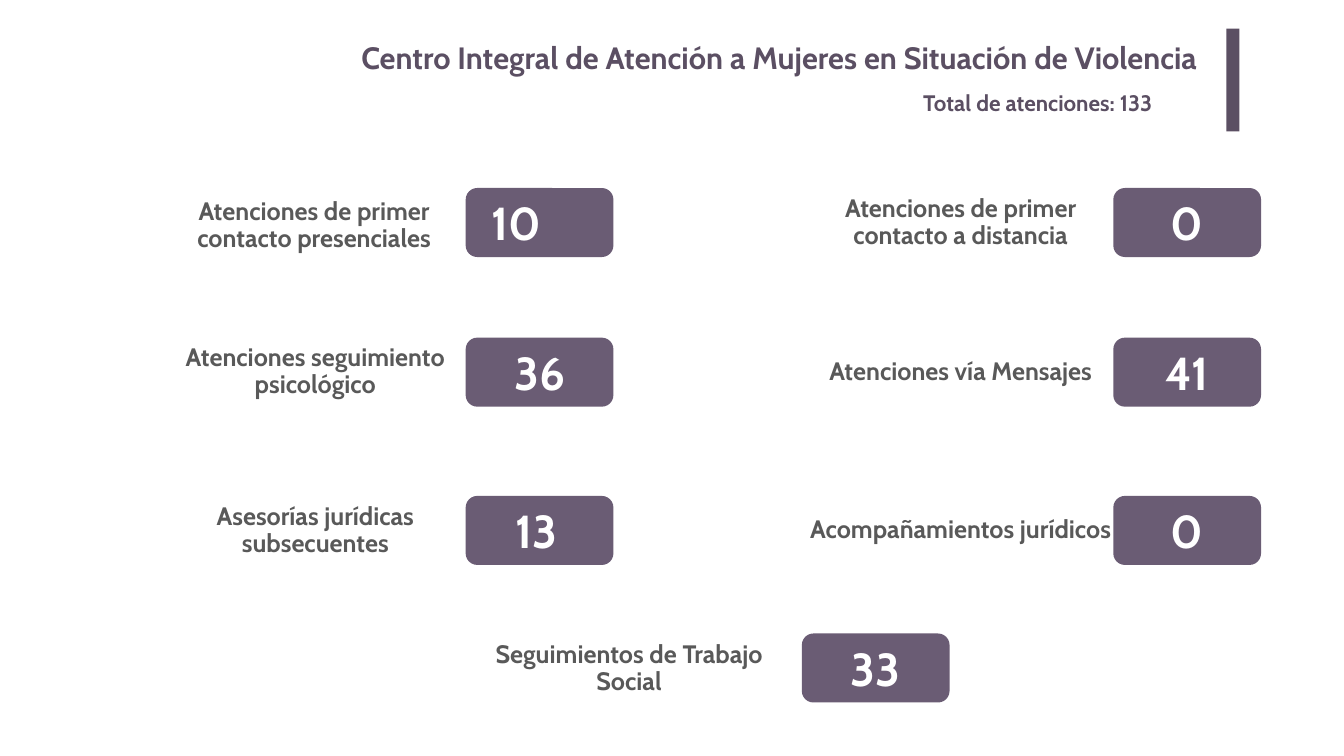
from pptx import Presentation
from pptx.dml.color import RGBColor
from pptx.enum.shapes import MSO_SHAPE
from pptx.enum.text import MSO_ANCHOR, MSO_AUTO_SIZE, PP_ALIGN
from pptx.util import Pt

RECTANGLE, ROUNDED = MSO_SHAPE.RECTANGLE, MSO_SHAPE.ROUNDED_RECTANGLE
TOP, MIDDLE = MSO_ANCHOR.TOP, MSO_ANCHOR.MIDDLE
LEFT, CENTER, RIGHT = PP_ALIGN.LEFT, PP_ALIGN.CENTER, PP_ALIGN.RIGHT
NO_AUTOFIT = MSO_AUTO_SIZE.NONE

COLORS = {"heading": "5B4F63", "badge": "6A5C74", "label": "595959", "number": "FFFFFF"}
TITLE_ONLY = 5
BADGE_WIDTH, BADGE_HEIGHT = 211, 98.6
NUMBER_WIDTH, NUMBER_HEIGHT = 147, 87
LEFT_COLUMN, MIDDLE_COLUMN, RIGHT_COLUMN = 665.3, 1145.5, 1590.5
ROWS = [268.6, 482.4, 708.5, 905]

# label, label box, number, badge column, badge row, shift of the number
SERVICES = [
    ("Atenciones de primer contacto presenciales",
     (251.3, 273.6, 394.6, 98.6), "10", LEFT_COLUMN, 0, -33),
    ("Atenciones de primer contacto a distancia",
     (1186.6, 274.3, 371.5, 87.1), "0", RIGHT_COLUMN, 0, 0),
    ("Atenciones seguimiento psicológico",
     (169.2, 512.6, 562.3, 38.2), "36", LEFT_COLUMN, 1, 0),
    ("Atenciones vía Mensajes",
     (1159.2, 493.9, 426.2, 75.6), "41", RIGHT_COLUMN, 1, 0),
    ("Asesorías jurídicas subsecuentes",
     (232.6, 729.4, 435.6, 57.6), "13", LEFT_COLUMN, 2, -4),
    ("Acompañamientos jurídicos",
     (1139.8, 734.4, 465.1, 46.1), "0", RIGHT_COLUMN, 2, 0),
    ("Seguimientos de Trabajo Social",
     (665.3, 905, 466.6, 101.5), "33", MIDDLE_COLUMN, 3, 0),
]


class SlideBuilder:
    def __init__(self, slide, font_name):
        self.slide = slide
        self.font_name = font_name

    def fill_text(self, box, text, size, color, align, anchor=TOP, inset=7.2, spacing=1):
        frame = box.text_frame
        frame.text = text
        frame_format = {
            "word_wrap": True, "auto_size": NO_AUTOFIT, "vertical_anchor": anchor,
            "margin_left": Pt(inset), "margin_right": Pt(inset),
            "margin_top": Pt(inset / 2), "margin_bottom": Pt(inset / 2),
        }
        for name, value in frame_format.items():
            setattr(frame, name, value)
        para = frame.paragraphs[0]
        para_format = {"alignment": align, "line_spacing": spacing, "space_before": Pt(0)}
        for name, value in para_format.items():
            setattr(para, name, value)
        font = para.runs[0].font
        for name, value in {"name": self.font_name, "size": Pt(size), "bold": True}.items():
            setattr(font, name, value)
        font.color.rgb = RGBColor.from_string(COLORS[color])

    def title(self, text, bounds):
        box = self.slide.shapes.title
        for name, value in zip(("left", "top", "width", "height"), bounds):
            setattr(box, name, Pt(value))
        self.fill_text(box, text, 44, "heading", RIGHT, inset=14.4)

    def text(self, text, bounds, size, color, align, **options):
        box = self.slide.shapes.add_textbox(*map(Pt, bounds))
        self.fill_text(box, text, size, color, align, **options)

    def block(self, kind, bounds, color):
        shape = self.slide.shapes.add_shape(kind, *map(Pt, bounds))
        shape.shadow.inherit = False
        shape.fill.solid()
        shape.fill.fore_color.rgb = RGBColor.from_string(COLORS[color])
        shape.line.fill.background()
        return shape

    def badge(self, number, left, top, shift):
        """Draw a rounded block with its number centred, moved sideways by shift."""
        shape = self.block(ROUNDED, (left, top, BADGE_WIDTH, BADGE_HEIGHT), "badge")
        shape.adjustments[0] = 0.167
        number_left = left + (BADGE_WIDTH - NUMBER_WIDTH) / 2 + shift
        number_top = top + (BADGE_HEIGHT - NUMBER_HEIGHT) / 2
        self.text(number, (number_left, number_top, NUMBER_WIDTH, NUMBER_HEIGHT),
                  66, "number", CENTER)


def main():
    deck = Presentation()
    deck.slide_width, deck.slide_height = Pt(1920), Pt(1080)
    slide = deck.slides.add_slide(deck.slide_layouts[TITLE_ONLY])
    builder = SlideBuilder(slide, "Cabin")

    builder.title("Centro Integral de Atención a Mujeres en Situación de Violencia",
                  (263.5, 48.2, 1461.6, 73.4))
    builder.block(RECTANGLE, (1751.8, 41, 18.7, 146.9), "heading")
    builder.text("Total de atenciones: 133", (1311.8, 123.1, 426.2, 46.1),
                 32, "heading", LEFT)
    for label, bounds, number, column, row, shift in SERVICES:
        builder.text(label, bounds, 36, "label", CENTER, anchor=MIDDLE, spacing=0.9)
        builder.badge(number, column, ROWS[row], shift)

    deck.save("out.pptx")


if __name__ == "__main__":
    main()
